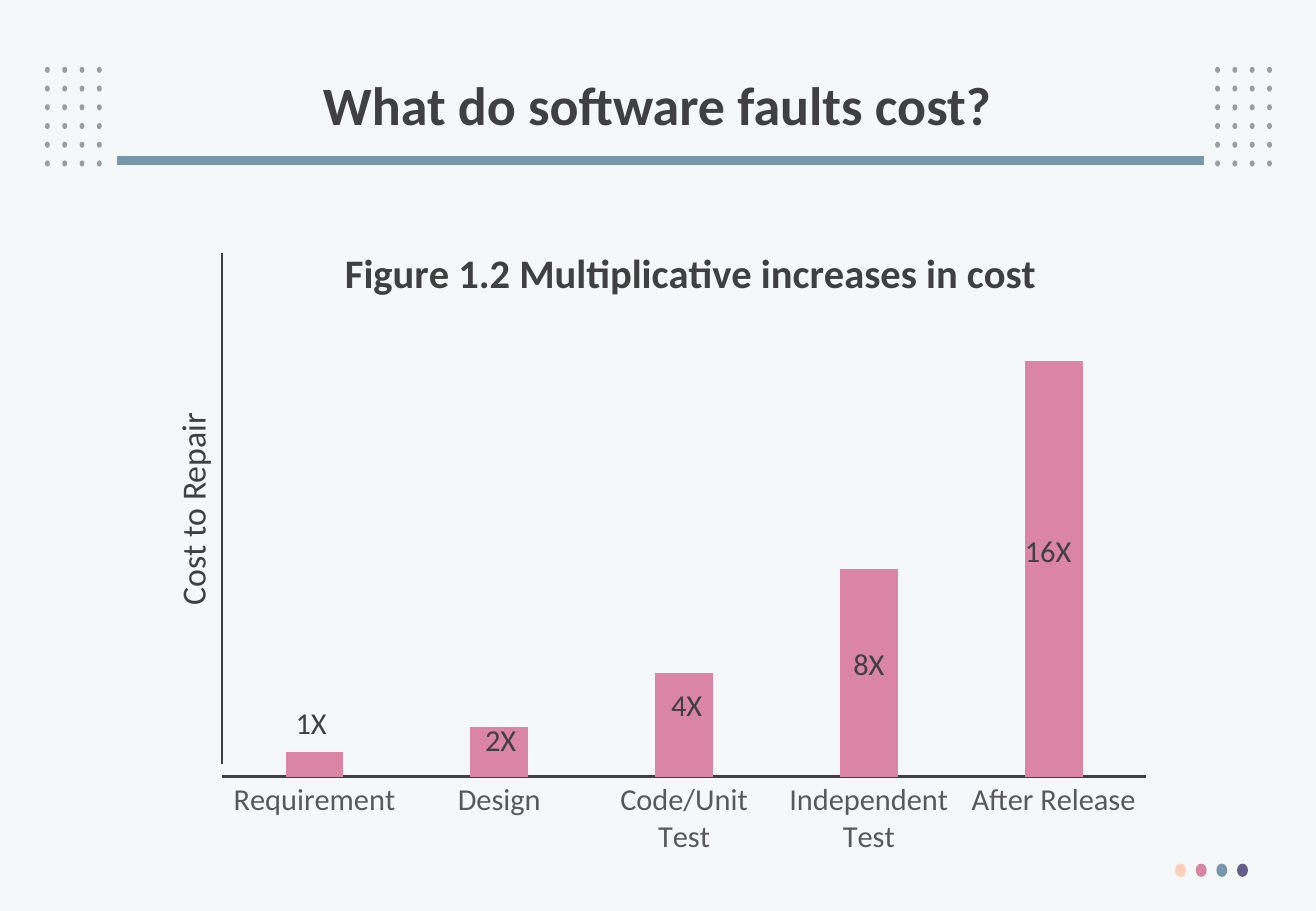
import pptx
import pptx.chart.data
import pptx.dml.color
import pptx.enum.chart
import pptx.enum.shapes
import pptx.enum.text
import pptx.oxml
import pptx.oxml.ns
import pptx.util
from lxml import etree

RGBColor = pptx.dml.color.RGBColor
BACKGROUND = RGBColor(0xF5, 0xF8, 0xF9)
DARK = RGBColor(0x40, 0x40, 0x40)
LABEL_GRAY = RGBColor(0x59, 0x59, 0x59)
DOT_GRAY = RGBColor(0x9D, 0x9D, 0x9D)
PEACH = RGBColor(0xFD, 0xCE, 0xB9)
PINK = RGBColor(0xD8, 0x85, 0xA3)
BLUE = RGBColor(0x78, 0x97, 0xAB)
PURPLE = RGBColor(0x65, 0x5D, 0x8A)
BAR_PINK = RGBColor(0xD9, 0x85, 0xA3)

FONT = "Calibri"
COLUMNS, ROWS = 108.3, 75
CELL = pptx.util.Inches(0.1)

CATEGORIES = ["Requirement", "Design", "Code/Unit Test", "Independent Test", "After Release"]
COSTS = [6, 12, 25, 50, 100]
FACTORS = [("1X", 8.9, 42), ("2X", 24.5, 43.4), ("4X", 39.8, 40.5),
           ("8X", 54.8, 37.1), ("16X", 69.55, 27.8)]


def grid(*cells):
    """Turn grid counts into slide lengths."""
    return [int(n * CELL) for n in cells]


def style(font, size, color, bold=False):
    """Set a font's face, size, colour and weight."""
    font.name, font.size, font.bold = FONT, pptx.util.Pt(size), bold
    font.color.rgb = color


def add_dot(s, x, y, w, h, color):
    """Draw one plain dot."""
    dot = s.shapes.add_shape(pptx.enum.shapes.MSO_SHAPE.OVAL, *grid(x, y, w, h))
    dot.shadow.inherit = False
    dot.fill.solid()
    dot.fill.fore_color.rgb = color
    dot.line.fill.background()


def add_line(s, x1, y1, x2, y2, color, width):
    """Draw a straight line without shadow."""
    line = s.shapes.add_connector(pptx.enum.shapes.MSO_CONNECTOR.STRAIGHT, *grid(x1, y1, x2, y2))
    line.line.color.rgb = color
    line.line.width = pptx.util.Pt(width)
    etree.SubElement(line._element.spPr, pptx.oxml.ns.qn("a:effectLst"))


def add_label(s, cx, cy, w, h, text, size, rotation=0):
    """Place a one-line label around its centre."""
    box = s.shapes.add_textbox(*grid(cx - w / 2, cy - h / 2, w, h))
    box.rotation = rotation
    tf = box.text_frame
    tf.word_wrap = False
    p = tf.paragraphs[0]
    p.text = text
    p.alignment = pptx.enum.text.PP_ALIGN.CENTER
    style(p.font, size, DARK)


def add_dot_field(s, x, y, w, h):
    """Fill a box with four columns and six rows of dots."""
    for row in range(6):
        for column in range(4):
            add_dot(s, x + column * w / 4, y + row * h / 6, 0.4, 0.5, DOT_GRAY)


def add_header(s, x, y, w, h):
    """Place the title between two dot fields, above its rule."""
    for left in (x, x + w - 5.7):
        add_dot_field(s, left, y + 1.5, 5.7, 9.25)
    add_line(s, x + 5.9, y + 9.2, x + w - 6.6, y + 9.2, BLUE, 5.25)
    title = s.shapes.title
    title.left, title.top, title.width, title.height = grid(x + 3.7, y, w - 8.6, h)
    tf = title.text_frame
    tf.vertical_anchor = pptx.enum.text.MSO_ANCHOR.MIDDLE
    p = tf.paragraphs[0]
    p.text = "What do software faults cost?"
    p.alignment = pptx.enum.text.PP_ALIGN.CENTER
    p.line_spacing = 0.9
    style(p.font, 32, DARK, True)


def set_layout(element, before, **shares):
    """Fix a chart part's place as shares of the chart."""
    for old in element.findall(pptx.oxml.ns.qn("c:layout")):
        element.remove(old)
    modes = {"xMode": "edge", "yMode": "edge"}
    if "w" in shares:
        modes = {"layoutTarget": "inner", **modes}
    items = "".join(f'<c:{k} val="{v}"/>' for k, v in {**modes, **shares}.items())
    layout = pptx.oxml.parse_xml(
        f'<c:layout {pptx.oxml.ns.nsdecls("c")}><c:manualLayout>{items}'
        '</c:manualLayout></c:layout>')
    element.find(pptx.oxml.ns.qn(before)).addprevious(layout)


def add_cost_chart(s, x, y, w, h):
    """Draw the cost columns with their title, axes and factors."""
    data = pptx.chart.data.CategoryChartData()
    data.categories = CATEGORIES
    data.add_series("Series 1", COSTS)
    chart = s.shapes.add_chart(
        pptx.enum.chart.XL_CHART_TYPE.COLUMN_CLUSTERED, *grid(x, y, w, h), data).chart
    style(chart.font, 10, DARK)
    chart.has_legend = False
    chart.has_title = True
    p = chart.chart_title.text_frame.paragraphs[0]
    p.text = "Figure 1.2 Multiplicative increases in cost"
    style(p.font, 24, DARK, True)
    set_layout(chart.chart_title._element, "c:overlay", x=0.14, y=0.04)
    plot = chart.plots[0]
    plot.gap_width, plot.overlap, plot.vary_by_categories = 219, -27, False
    fill = plot.series[0].format.fill
    fill.solid()
    fill.fore_color.rgb = BAR_PINK
    axis = chart.category_axis
    axis.major_tick_mark = pptx.enum.chart.XL_TICK_MARK.NONE
    axis.format.line.color.rgb = DARK
    axis.format.line.width = pptx.util.Pt(1.25)
    style(axis.tick_labels.font, 18, LABEL_GRAY)
    cost_axis = chart.value_axis
    cost_axis.minimum_scale, cost_axis.maximum_scale = 0, 120
    cost_axis.has_major_gridlines = False
    cost_axis.visible = False
    set_layout(plot._element.getparent(), "c:barChart", x=0.02, y=0.1, w=0.96, h=0.76)

    for text, cx, cy in FACTORS:
        add_label(s, x + cx, y + cy, 5.9, 4, text, 18)
    add_label(s, x - 0.85, y + 24.4, 18.1, 4.4, "Cost to Repair", 20, 270)
    add_line(s, x + 1.6, y + 3.3, x + 1.6, y + 45.4, DARK, 1.25)


def add_footer_dots(s, x, y, w, h):
    """Spread the four palette dots across a box."""
    colors = (PEACH, PINK, BLUE, PURPLE)
    for i, color in enumerate(colors):
        add_dot(s, x + i * w / len(colors), y, 0.9, h, color)


def main():
    """Build and save the slide."""
    prs = pptx.Presentation()
    prs.slide_width, prs.slide_height = grid(COLUMNS, ROWS)
    s = prs.slides.add_slide(prs.slide_layouts[5])
    s.background.fill.solid()
    s.background.fill.fore_color.rgb = BACKGROUND
    add_header(s, 3.7, 4, 102, 9.8)
    add_cost_chart(s, 16.7, 17.5, 79.2, 54)
    add_footer_dots(s, 96.7, 71.1, 6.8, 1.1)
    prs.save("out.pptx")


if __name__ == "__main__":
    main()
